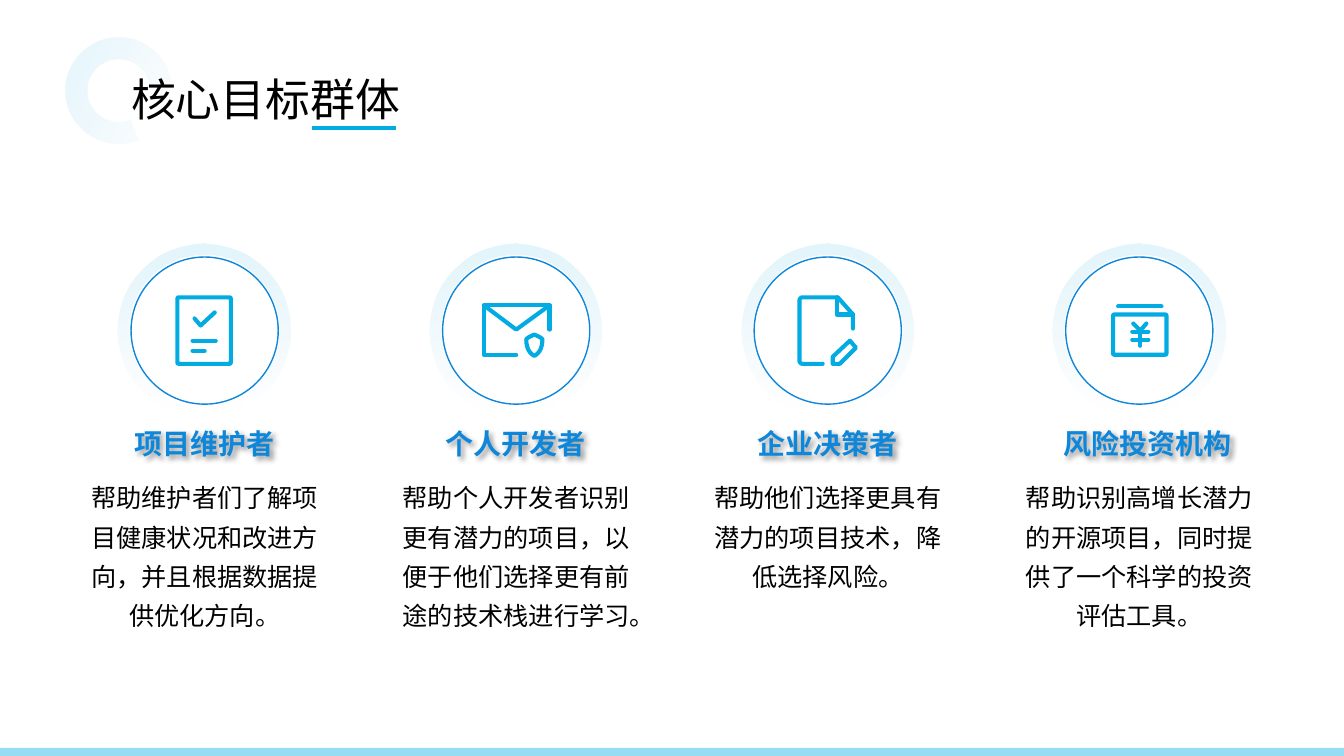
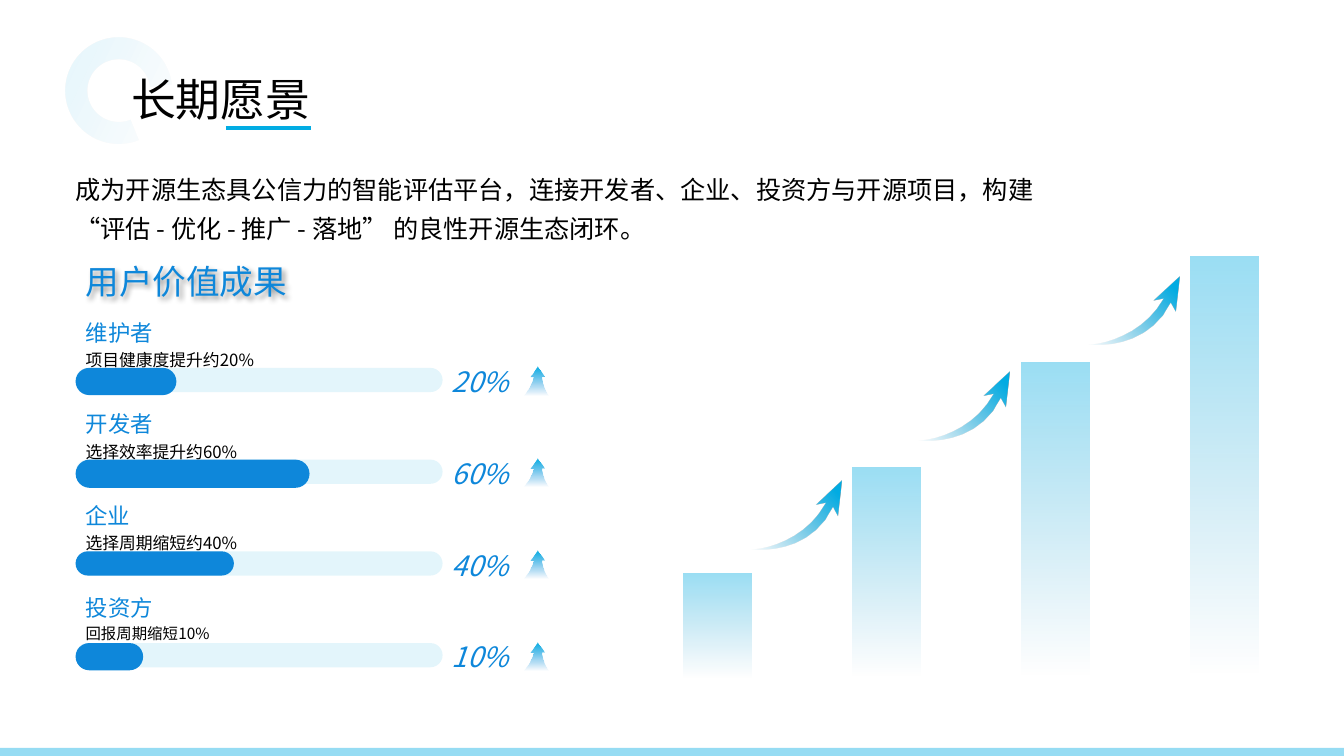
from lxml.etree import SubElement
from pptx import Presentation
from pptx.chart.data import CategoryChartData
from pptx.dml.color import RGBColor
from pptx.enum.chart import XL_CHART_TYPE
from pptx.enum.shapes import MSO_CONNECTOR, MSO_SHAPE
from pptx.enum.text import MSO_ANCHOR, MSO_AUTO_SIZE, PP_ALIGN
from pptx.oxml.ns import qn
from pptx.util import Inches, Pt

FONT = "Noto Sans CJK SC"
BLACK = RGBColor(0x00, 0x00, 0x00)
BLUE = RGBColor(0x0E, 0x87, 0xDA)
CYAN = RGBColor(0x02, 0xAC, 0xE3)
TEAL = RGBColor(0x02, 0x8F, 0xC4)


def card(left, top, right, bottom, radius=0.03):
    """Outline of a rectangle with rounded corners."""
    return [
        (left + radius, top), (right - radius, top),
        (right, top, right, top, right, top + radius), (right, bottom - radius),
        (right, bottom, right, bottom, right - radius, bottom), (left + radius, bottom),
        (left, bottom, left, bottom, left, bottom - radius), (left, top + radius),
        (left, top, left, top, left + radius, top),
    ]


# Outlines: a pair is a corner, six numbers are a Bezier curve.
CHECKLIST = [
    card(-0.27, -0.33, 0.26, 0.33),
    [(-0.12, 0.1), (0.11, 0.1)],
    [(-0.12, 0.2), (0, 0.2)],
    [(0.1, -0.18), (-0.04, -0.05), (-0.1, -0.12)],
]
ENVELOPE = [
    [(0.33, -0.01), (0.33, -0.25), (-0.32, -0.25), (-0.32, 0.24), (0, 0.24)],
    [(0.1, 0.09), (0.1, 0.07, 0.18, 0.04, 0.18, 0.04),
     (0.18, 0.04, 0.26, 0.07, 0.26, 0.09), (0.26, 0.22, 0.18, 0.25, 0.18, 0.25),
     (0.18, 0.25, 0.1, 0.22, 0.1, 0.09)],
    [(-0.32, -0.25), (0, -0.01), (0.33, -0.25)],
]
DOCUMENT = [
    [(0.25, -0.02), (0.25, -0.16), (0.1, -0.33), (-0.25, -0.33),
     (-0.26, -0.33, -0.28, -0.32, -0.28, -0.3), (-0.28, 0.3),
     (-0.28, 0.32, -0.26, 0.33, -0.25, 0.33), (-0.05, 0.33)],
    [(0.12, 0.33), (0.28, 0.17), (0.22, 0.1), (0.05, 0.26), (0.05, 0.33), (0.12, 0.33)],
    [(0.09, -0.33), (0.09, -0.16), (0.25, -0.16)],
]
MONEY = [
    card(-0.26, -0.16, 0.27, 0.24),
    [(-0.06, -0.07), (0.01, 0), (0.07, -0.07)],
    [(-0.07, 0.01), (0.09, 0.01)],
    [(-0.07, 0.09), (0.09, 0.09)],
    [(0.01, 0.01), (0.01, 0.15)],
    [(-0.21, -0.24), (0.22, -0.24)],
]
UP_ARROW = [
    (0.14, 0), (0.07, 0.1), (0.1, 0.1), (0.08, 0.16, 0.07, 0.2, 0, 0.28),
    (0.25, 0.28), (0.2, 0.21, 0.18, 0.14, 0.18, 0.1), (0.21, 0.1), (0.14, 0),
]
GROWTH_ARROW = [
    (0.92, 0), (0.88, 0.35), (0.83, 0.26), (0.6, 0.73, 0.07, 0.68, 0, 0.67),
    (0.15, 0.68, 0.56, 0.58, 0.76, 0.22), (0.66, 0.24), (0.92, 0),
]

# Heading, description, icon, shift of the heading
AUDIENCES = [
    ("项目维护者", "帮助维护者们了解项目健康状况和改进方向，并且根据数据提供优化方向。", CHECKLIST, 0),
    ("个人开发者", "帮助个人开发者识别更有潜力的项目，以便于他们选择更有前途的技术栈进行学习。", ENVELOPE, 0),
    ("企业决策者", "帮助他们选择更具有潜力的项目技术，降低选择风险。", DOCUMENT, 0),
    ("风险投资机构", "帮助识别高增长潜力的开源项目，同时提供了一个科学的投资评估工具。", MONEY, 0.09),
]
VISION = ("成为开源生态具公信力的智能评估平台，连接开发者、企业、投资方与开源项目，"
          "构建 “评估 - 优化 - 推广 - 落地” 的良性开源生态闭环。")
# Group, result, percentage, bar width, bar height, result text size
RESULTS = [
    ("维护者", "项目健康度提升约20%", "20%", 1, 0.27, 12),
    ("开发者", "选择效率提升约60%", "60%", 2.32, 0.28, 12),
    ("企业", "选择周期缩短约40%", "40%", 1.57, 0.24, 12),
    ("投资方", "回报周期缩短10%", "10%", 0.67, 0.27, 11),
]
GROWTH = {"1": 25, "2": 50, "3": 75, "4": 100}
GROWTH_ARROWS = [(7.43, 4.77), (9.09, 3.69), (10.78, 2.74)]


def write(frame, text, size, color=BLACK, bold=False, italic=False,
          align=PP_ALIGN.LEFT, spacing=None, before=None):
    para = frame.paragraphs[0]
    para.alignment = align
    if spacing:
        para.line_spacing = spacing
    if before:
        para.space_before = Pt(before)
    span = para.add_run()
    span.text = text
    font = span.font
    font.size, font.bold, font.italic = Pt(size), bold, italic
    font.color.rgb = color
    font.name = FONT
    properties = span._r.get_or_add_rPr()
    properties.set("lang", "zh-CN")
    SubElement(properties, qn("a:ea"), typeface=FONT)


def add_text(page, at, text, size, wrap=True, **style):
    box = page.shapes.add_textbox(*map(Inches, at))
    box.text_frame.word_wrap = wrap
    box.text_frame.auto_size = MSO_AUTO_SIZE.SHAPE_TO_FIT_TEXT
    write(box.text_frame, text, size, **style)
    return box


def set_alpha(color_element, percent):
    SubElement(color_element, qn("a:alpha"), val=str(percent * 1000))


def paint_gradient(fill, owner, stops, angle):
    """Stops are (position, colour, opacity) in percent; the angle runs clockwise."""
    fill.gradient()
    fill.gradient_angle = 360 - angle
    for stop, element, (position, color, opacity) in zip(
            fill.gradient_stops, owner.iter(qn("a:gs")), stops):
        stop.position = position / 100
        stop.color.rgb = color
        set_alpha(element[0], opacity)


def add_shadow(shape, blur, distance, opacity, direction):
    shape.shadow.inherit = False
    effects = next(shape.element.iter(qn("a:effectLst")))
    shadow = SubElement(effects, qn("a:outerShdw"), blurRad=str(Pt(blur)),
                        dist=str(Pt(distance)), dir=str(direction * 60000),
                        algn="ctr", rotWithShape="0")
    set_alpha(SubElement(shadow, qn("a:srgbClr"), val=str(BLACK)), opacity)


def add_preset(page, kind, at, color=None, opacity=None, adjust=()):
    shape = page.shapes.add_shape(kind, *map(Inches, at))
    shape.shadow.inherit = False
    shape.line.fill.background()
    for index, value in enumerate(adjust):
        shape.adjustments[index] = value
    if color is None:
        shape.fill.background()
    else:
        shape.fill.solid()
        shape.fill.fore_color.rgb = color
        if opacity:
            set_alpha(next(shape.element.iter(qn("a:srgbClr"))), opacity)
    return shape


def add_arc(page, at, adjust, end):
    arc = add_preset(page, MSO_SHAPE.BLOCK_ARC, at, adjust=adjust)
    paint_gradient(arc.fill, arc.element, [(0, CYAN, 12), (end, TEAL, 0)], 90)
    return arc


def add_line(page, start, end, width):
    line = page.shapes.add_connector(MSO_CONNECTOR.STRAIGHT, *map(Inches, start + end))
    line.line.color.rgb = CYAN
    line.line.width = Pt(width)
    SubElement(line.element.find(qn("p:spPr")), qn("a:effectLst"))
    return line


def flatten(outline, steps=10):
    """Turn corners and curves into a plain list of points."""
    points = [outline[0]]
    for part in outline[1:]:
        if len(part) == 2:
            points.append(part)
            continue
        knots = [points[-1], part[:2], part[2:4], part[4:]]
        for step in range(1, steps + 1):
            t = step / steps
            weights = [(1 - t) ** 3, 3 * t * (1 - t) ** 2, 3 * t * t * (1 - t), t ** 3]
            points.append(tuple(sum(w * knot[axis] for w, knot in zip(weights, knots))
                                for axis in (0, 1)))
    return points


def add_outline(page, outline, left, top):
    points = [(Inches(left + x), Inches(top + y)) for x, y in flatten(outline)]
    builder = page.shapes.build_freeform(*points[0])
    builder.add_line_segments(points[1:], close=points[0] == points[-1])
    shape = builder.convert_to_shape()
    shape.shadow.inherit = False
    shape.fill.background()
    shape.line.fill.background()
    return shape


def add_icon(page, strokes, x, y):
    for stroke in strokes:
        if len(stroke) == 2:
            start, end = [(x + dx, y + dy) for dx, dy in stroke]
            shape = add_line(page, start, end, 2.95)
        else:
            shape = add_outline(page, stroke, x, y)
            shape.line.color.rgb = CYAN
            shape.line.width = Pt(2.95)
        next(shape.element.iter(qn("a:ln"))).set("cap", "rnd")


def prepare_layout(layout, page):
    """Place the title and move the shared decoration from a page to its layout."""
    title = layout.placeholders[0]
    title.left, title.top, title.width, title.height = map(Inches, (1.2, 0.66, 6.04, 0.64))
    title.text_frame.vertical_anchor = MSO_ANCHOR.TOP
    ring = add_arc(page, (0.65, 0.37, 1.05, 1.05), (79.457, 34.827, 0.207), 92)
    ring.rotation = 295.4
    band = add_preset(page, MSO_SHAPE.RECTANGLE, (0, 7.42, 13.35, 0.08), CYAN, 41)
    for shape in (ring, band):
        layout.shapes.element.append(shape.element)


def add_title(page, text, underline_left):
    write(page.shapes.title.text_frame, text, 32)
    add_line(page, (underline_left, 1.27), (underline_left + 0.84, 1.27), 2.25)


def build_audiences(page):
    add_title(page, "核心目标群体", 3.09)
    middle = 3.28
    for index, (heading, description, icon, shift) in enumerate(AUDIENCES):
        center = 2.03 + 3.09 * index
        circle = add_preset(page, MSO_SHAPE.OVAL, (center - 0.73, middle - 0.73, 1.46, 1.46))
        circle.line.color.rgb = BLUE
        circle.line.width = Pt(1)
        add_arc(page, (center - 0.86, middle - 0.86, 1.71, 1.71), (37.218, 33.549, 0.066), 100)
        add_icon(page, icon, center, middle)
        box = add_text(page, (center + shift - 1.04, 4.18, 2.07, 0.44), heading, 20,
                       color=BLUE, bold=True, align=PP_ALIGN.CENTER)
        add_shadow(box, 4, 3, 40, 45)
        add_text(page, (center - 1.31, 4.65, 2.62, 1.64), description, 18,
                 align=PP_ALIGN.CENTER, spacing=1.3, before=12)


def add_result(page, top, group, result, percentage, width, height, size):
    for length, thickness, color, opacity in ((3.64, 0.24, CYAN, 11), (width, height, BLUE, None)):
        add_preset(page, MSO_SHAPE.ROUNDED_RECTANGLE, (0.75, top, length, thickness),
                   color, opacity, adjust=(0.5,))
    add_text(page, (4.38, top - 0.08, 0.77, 0.44), percentage, 20, wrap=False,
             color=BLUE, italic=True)
    label = add_text(page, (0.85, top - 0.49, 0.23 * len(group), 0.27), group, 16,
                     wrap=False, color=BLUE, before=24).text_frame
    label.margin_left = label.margin_top = label.margin_right = label.margin_bottom = 0
    label.vertical_anchor = MSO_ANCHOR.MIDDLE
    add_text(page, (0.75, top - 0.27, 2.87, 0.33), result, size, spacing=1.2)
    arrow = add_outline(page, UP_ARROW, 5.19, top - 0.01)
    paint_gradient(arrow.fill, arrow.element, [(0, BLUE, 0), (100, CYAN, 100)], 270)
    add_shadow(arrow, 80, 45, 13, 90)


def add_growth_chart(page):
    data = CategoryChartData()
    data.categories = list(GROWTH)
    data.add_series("Series 1", list(GROWTH.values()))
    chart = page.shapes.add_chart(XL_CHART_TYPE.COLUMN_CLUSTERED,
                                  *map(Inches, (6.14, 1.95, 6.98, 4.88)), data).chart
    chart.has_legend = chart.has_title = False
    chart.font.name, chart.font.size = FONT, Pt(10)
    chart.font.color.rgb = BLACK
    axis = chart.value_axis
    axis.minimum_scale, axis.maximum_scale = 0, 112
    axis.has_major_gridlines = False
    axis.visible = chart.category_axis.visible = False
    plot = chart.plots[0]
    plot.gap_width = 150
    plot.vary_by_categories = False
    paint_gradient(plot.series[0].format.fill, chart.element,
                   [(0, TEAL, 0), (100, CYAN, 40)], 270)


def build_vision(page):
    add_title(page, "长期愿景", 2.24)
    heading = add_text(page, (0.75, 2.54, 2.22, 0.5), "用户价值成果", 24, wrap=False, color=BLUE)
    add_shadow(heading, 4, 3, 40, 45)
    add_text(page, (0.65, 1.59, 9.71, 0.86), VISION, 18, spacing=1.3)
    for index, result in enumerate(RESULTS):
        add_result(page, 3.65 + 0.91 * index, *result)
    add_growth_chart(page)
    for left, top in GROWTH_ARROWS:
        arrow = add_outline(page, GROWTH_ARROW, left, top)
        paint_gradient(arrow.fill, arrow.element, [(0, TEAL, 0), (90, CYAN, 100)], 315)


def main():
    deck = Presentation()
    deck.slide_width, deck.slide_height = Inches(13.33), Inches(7.5)
    layout = deck.slide_layouts[5]
    pages = [deck.slides.add_slide(layout) for _ in range(2)]
    prepare_layout(layout, pages[0])
    build_audiences(pages[0])
    build_vision(pages[1])
    deck.save("out.pptx")


if __name__ == "__main__":
    main()
